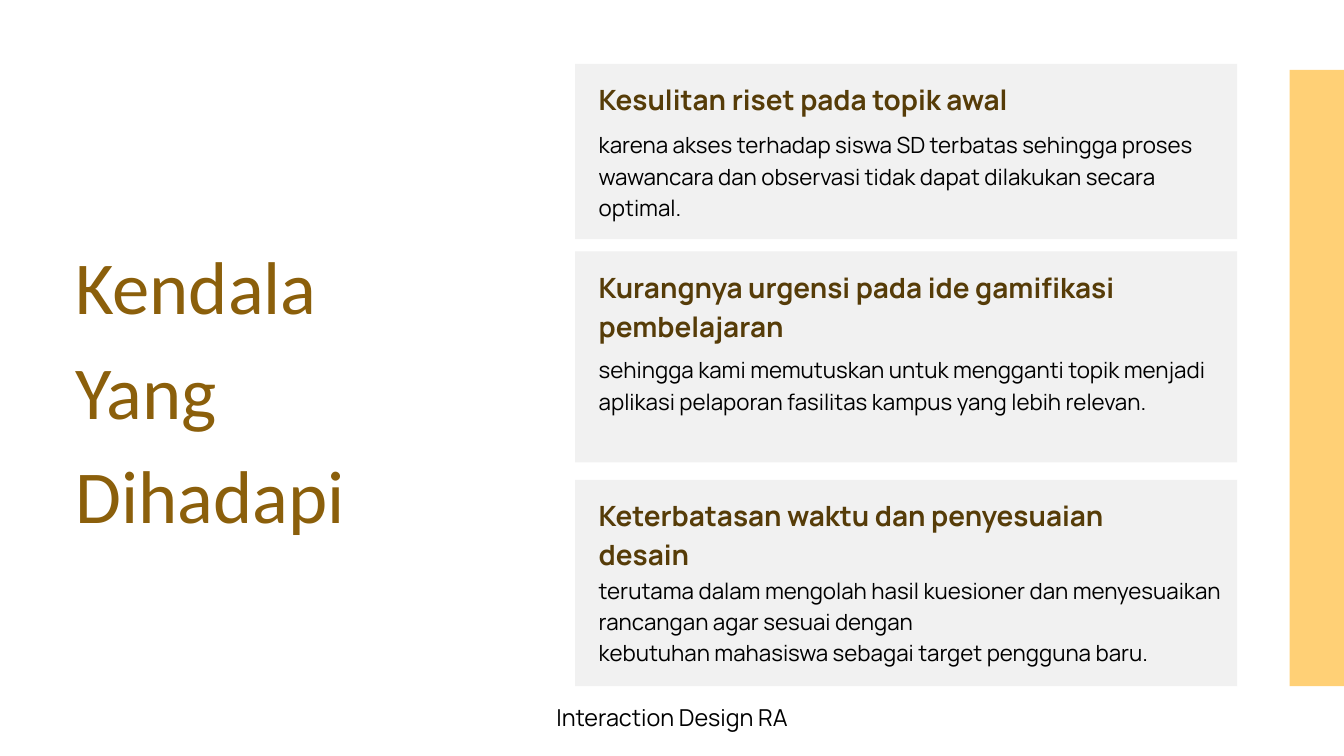
from pptx import Presentation
from pptx.dml.color import RGBColor
from pptx.enum import shapes, text
from pptx.util import Pt


def rgb(value):
    return RGBColor.from_string(value)


class Deck:
    """Holds the style and the current slide, and adds each kind of element."""

    BROWN, DARK, BLACK = "8B5F0B", "563C08", "000000"
    AMBER, GREY = "FFD076", "F1F1F1"
    FONT, TITLE_FONT = "Manrope", "Calibri"
    CARD_X, CARD_W, TEXT_X, PAD = 616.3, 709.2, 641.5, 14.4

    def __init__(self, prs):
        self.s = prs.slides.add_slide(prs.slide_layouts[5])

    def block(self, x, y, w, h, color):
        sp = self.s.shapes.add_shape(shapes.MSO_SHAPE.RECTANGLE, Pt(x), Pt(y), Pt(w), Pt(h))
        sp.shadow.inherit = False
        sp.fill.solid()
        sp.fill.fore_color.rgb = rgb(color)
        sp.line.fill.background()

    def fill_text(self, sp, lines, size, leading, color, font, bold=False,
                  align=text.PP_ALIGN.LEFT):
        tf = sp.text_frame
        tf.word_wrap = True
        tf.auto_size = text.MSO_AUTO_SIZE.NONE
        tf.vertical_anchor = text.MSO_ANCHOR.TOP
        tf.margin_left = tf.margin_right = tf.margin_top = tf.margin_bottom = 0
        for i, line in enumerate(lines):
            p = tf.add_paragraph() if i else tf.paragraphs[0]
            p.alignment = align
            p.line_spacing = Pt(leading)
            r = p.add_run()
            r.text = line
            r.font.name = font
            r.font.size = Pt(size)
            r.font.bold = bold
            r.font.color.rgb = rgb(color)

    def title(self, x, y, w, h, lines):
        sp = self.s.shapes.title
        sp.left, sp.top, sp.width, sp.height = Pt(x), Pt(y), Pt(w), Pt(h)
        self.fill_text(sp, lines, 80, 112, self.BROWN, self.TITLE_FONT)

    def label(self, x, y, w, h, lines, size, leading, color, **style):
        sp = self.s.shapes.add_textbox(Pt(x), Pt(y), Pt(w), Pt(h))
        self.fill_text(sp, lines, size, leading, color, self.FONT, **style)

    def card(self, y, h, heading, heading_w, heading_h, lines, body_y, body_w, body_h):
        self.block(self.CARD_X, y, self.CARD_W, h, self.GREY)
        self.label(self.TEXT_X, y + self.PAD, heading_w, heading_h, [heading],
                   29.9, 41.9, self.DARK, bold=True)
        self.label(self.TEXT_X, body_y, body_w, body_h, lines, 23.9, 33.5, self.BLACK)


def main():
    prs = Presentation()
    prs.slide_width, prs.slide_height = Pt(1440), Pt(810)
    deck = Deck(prs)
    deck.block(1381.7, 74.9, 58.3, 660.2, deck.AMBER)
    deck.title(80.6, 241.2, 437, 443.5, ["Kendala", "Yang Dihadapi"])
    cards = [
        (68.4, 187.9, "Kesulitan riset pada topik awal", 491.8, 41,
         ["karena akses terhadap siswa SD terbatas sehingga proses wawancara "
          "dan observasi tidak dapat dilakukan secara optimal."], 136.1, 653, 99.4),
        (269.3, 226.1, "Kurangnya urgensi pada ide gamifikasi pembelajaran", 660.2, 82.8,
         ["sehingga kami memutuskan untuk mengganti topik menjadi aplikasi "
          "pelaporan fasilitas kampus yang lebih relevan."], 377.3, 653, 99.4),
        (514.1, 221, "Keterbatasan waktu dan penyesuaian desain", 598.3, 82.8,
         ["terutama dalam mengolah hasil kuesioner dan menyesuaikan rancangan "
          "agar sesuai dengan",
          "kebutuhan mahasiswa sebagai target pengguna baru."], 613.4, 702, 132.5),
    ]
    for card in cards:
        deck.card(*card)
    deck.label(493.2, 748.8, 453.6, 34.6, ["Interaction Design RA"], 25, 35, deck.BLACK,
               align=text.PP_ALIGN.CENTER)
    prs.save("out.pptx")


if __name__ == "__main__":
    main()
